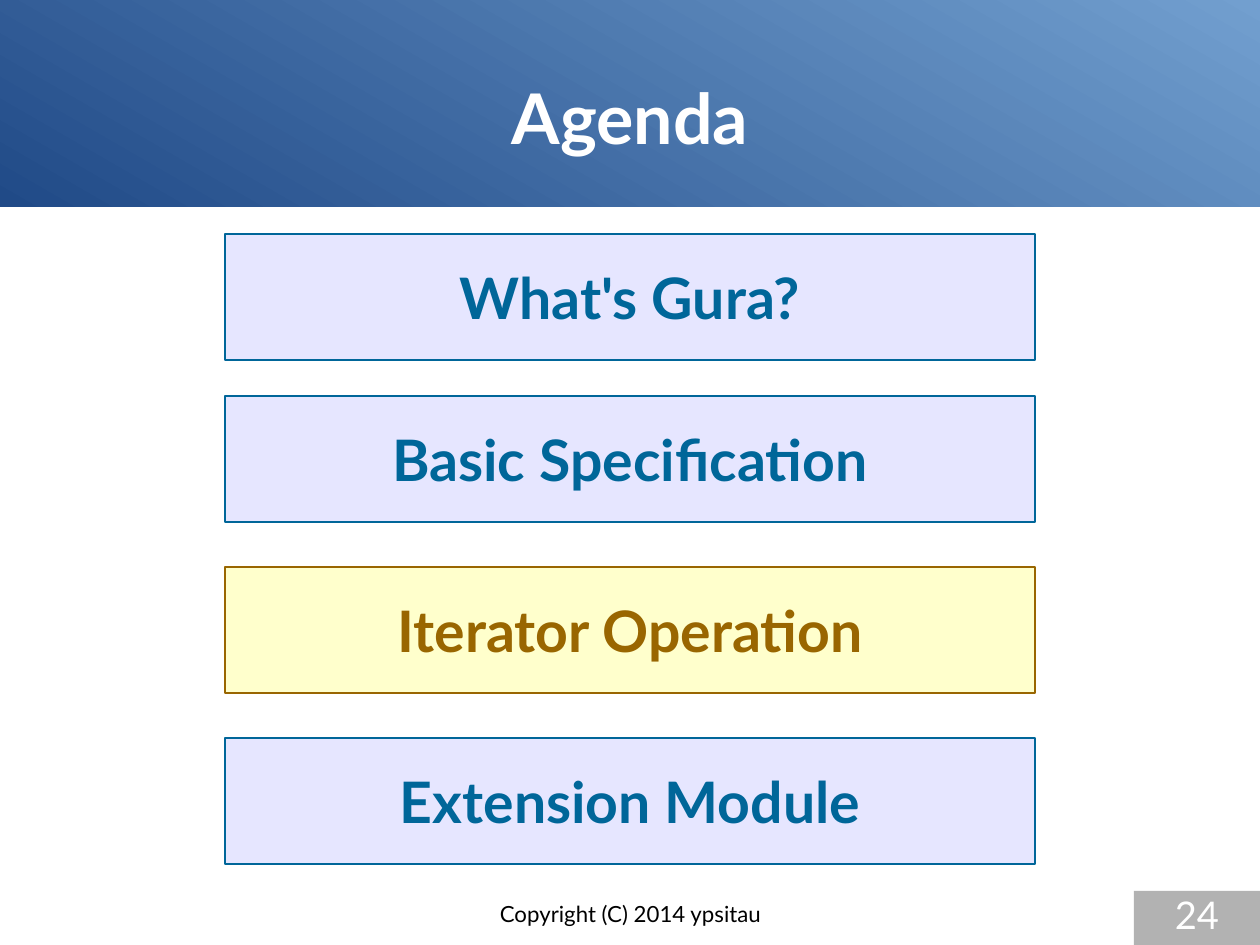
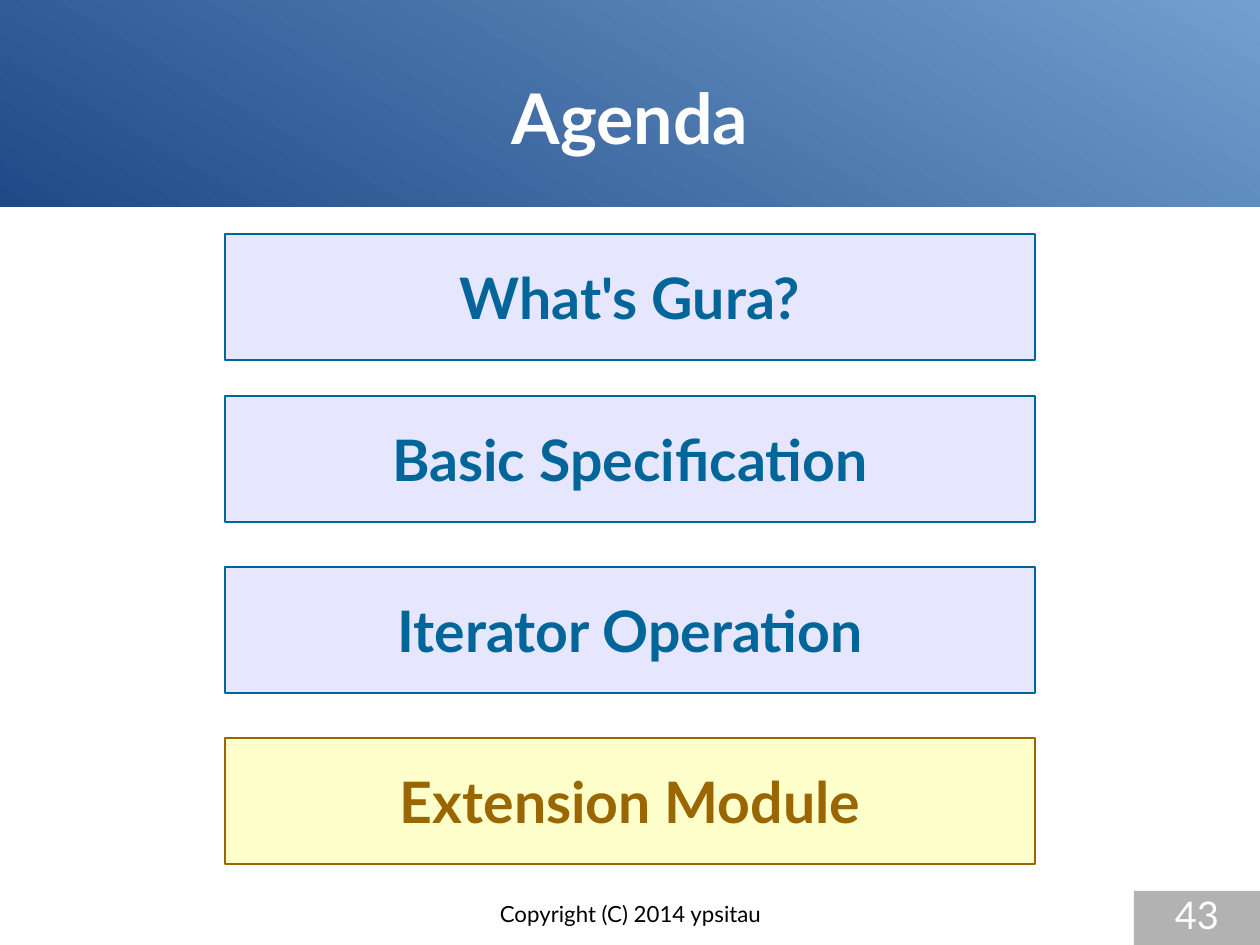
from pptx import Presentation
from pptx import util as u
from pptx.dml.color import RGBColor
from pptx.enum import shapes, text

PX = 8000
FONT = "Lato"
NORMAL = ("E6E6FF", "006699")
CURRENT = ("FFFFCC", "996600")
TOPICS = ["What's Gura?", "Basic Specification", "Iterator Operation", "Extension Module"]
TOPS = [234, 396, 567, 738]
SLIDES = [("24", "Iterator Operation"), ("43", "Extension Module")]


def rgb(color):
    return RGBColor.from_string(color)


def add_box(s, box, label="", size=14, color="000000", bold=False, fill=None, line=None,
            anchor=text.MSO_ANCHOR.TOP, inset=(0, 0), wrap=True):
    x, y, w, h = [v * PX for v in box]
    if fill:
        sp = s.shapes.add_shape(shapes.MSO_SHAPE.RECTANGLE, x, y, w, h)
        sp.shadow.inherit = False
        sp.fill.solid()
        sp.fill.fore_color.rgb = rgb(fill)
        if line:
            sp.line.color.rgb = rgb(line)
            sp.line.width = u.Pt(0.79)
        else:
            sp.line.fill.background()
    else:
        sp = s.shapes.add_textbox(x, y, w, h)
    tf = sp.text_frame
    tf.text = label
    tf.word_wrap = wrap
    tf.vertical_anchor = anchor
    tf.margin_left = tf.margin_right = u.Inches(inset[0])
    tf.margin_top = tf.margin_bottom = u.Inches(inset[1])
    p = tf.paragraphs[0]
    p.alignment = text.PP_ALIGN.CENTER
    for r in p.runs:
        r.font.name = FONT
        r.font.size = u.Pt(size)
        r.font.bold = bold
        r.font.color.rgb = rgb(color)
    return sp


prs = Presentation()
prs.slide_width = 1260 * PX
prs.slide_height = 945 * PX

for number, current in SLIDES:
    s = prs.slides.add_slide(prs.slide_layouts[6])

    band = add_box(s, (0, 0, 1260, 207), fill="204A87")
    band.fill.gradient()
    band.fill.gradient_angle = 60
    for stop, color in zip(band.fill.gradient_stops, ("204A87", "729FCF")):
        stop.color.rgb = rgb(color)

    add_box(s, (63, 38, 1134, 158), "Agenda", 44, "FFFFFF", True,
            anchor=text.MSO_ANCHOR.MIDDLE)

    for topic, top in zip(TOPICS, TOPS):
        fill, ink = CURRENT if topic == current else NORMAL
        add_box(s, (225, top, 810, 126), topic, 36, ink, True, fill, ink,
                text.MSO_ANCHOR.MIDDLE, (0.1, 0.05), False)

    add_box(s, (431, 900, 399, 47), "Copyright (C) 2014 ypsitau")
    add_box(s, (1134, 891, 126, 54), number, 24, "FFFFFF", fill="B2B2B2")

prs.save("out.pptx")
